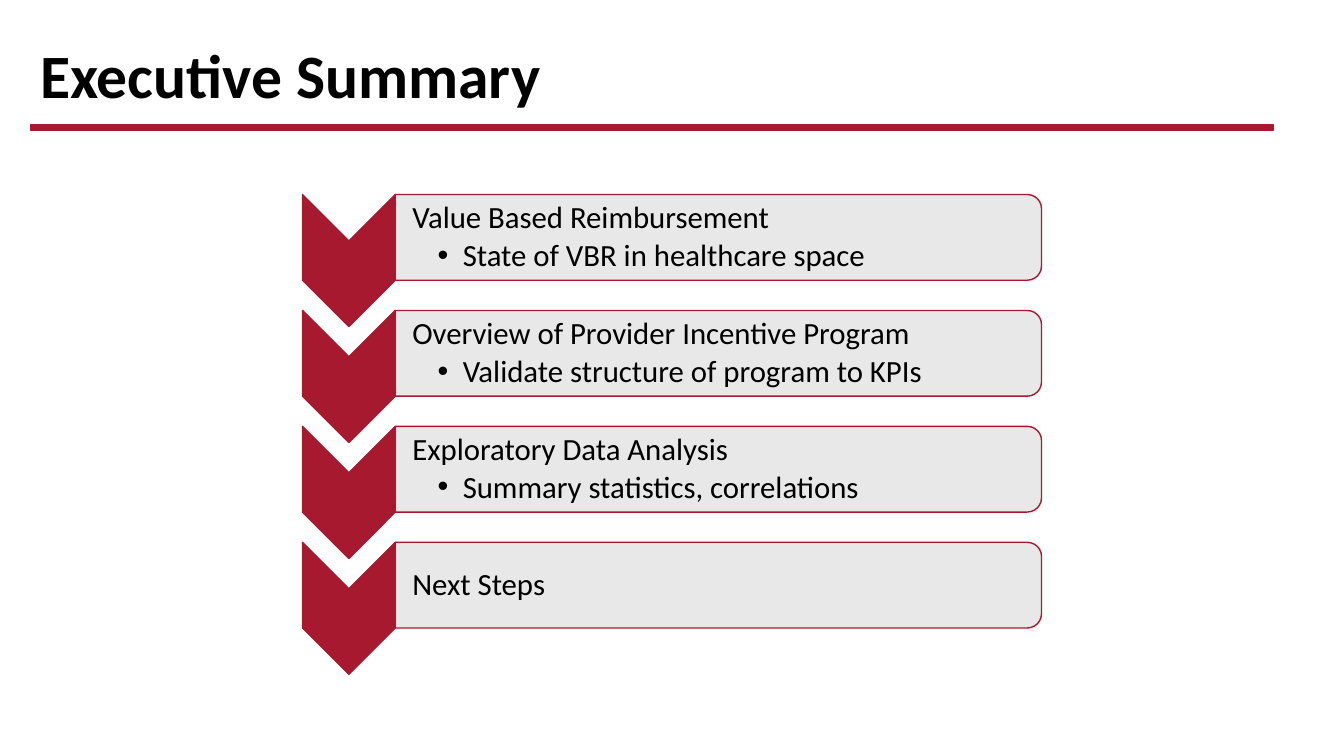
from lxml.etree import SubElement
from pptx import Presentation
from pptx.dml.color import RGBColor
from pptx.enum.shapes import MSO_SHAPE as SHAPE
from pptx.enum.text import MSO_ANCHOR as ANCHOR
from pptx.oxml.ns import qn
from pptx.util import Inches, Pt

RED, GREY, BLACK = "A6192E", "E7E6E6", "000000"
STEPS = [
    ("Value Based Reimbursement", "State of VBR in healthcare space"),
    ("Overview of Provider Incentive Program", "Validate structure of program to KPIs"),
    ("Exploratory Data Analysis", "Summary statistics, correlations"),
    ("Next Steps",),
]


def rgb(value):
    """Turn a hex string into a colour."""
    return RGBColor.from_string(value)


def add_shape(slide, kind, box, fill, turned=False, alpha=None):
    """Draw a red-outlined shape that fills the box, optionally turned by 90 degrees."""
    x, y, w, h = box
    if turned:
        x, y, w, h = x + (w - h) / 2, y + (h - w) / 2, h, w
    sp = slide.shapes.add_shape(kind, Inches(x), Inches(y), Inches(w), Inches(h))
    sp.rotation = 90 if turned else 0
    sp.shadow.inherit = False
    sp.fill.solid()
    sp.fill.fore_color.rgb = rgb(fill)
    sp.line.color.rgb = rgb(RED)
    sp.line.width = Pt(1)
    if alpha is not None:
        color = sp.fill._xPr.find(qn("a:solidFill"))[0]
        SubElement(color, qn("a:alpha"), val=str(alpha * 1000))
    return sp


def add_frame(slide, box, insets):
    """Add a wrapping, vertically centred text box and return its text frame."""
    tf = slide.shapes.add_textbox(*map(Inches, box)).text_frame
    tf.word_wrap = True
    tf.vertical_anchor = ANCHOR.MIDDLE
    tf.margin_left, tf.margin_top, tf.margin_right, tf.margin_bottom = map(Inches, insets)
    return tf


def add_text(p, text, size, bold=False, after=0, margin=0, hanging=0, bullet=None):
    """Write one formatted paragraph."""
    p.line_spacing = 0.9
    p.space_after = Pt(after)
    pPr = p._p.get_or_add_pPr()
    pPr.set("marL", str(Inches(margin)))
    pPr.set("indent", str(-Inches(hanging)))
    if bullet:
        SubElement(pPr, qn("a:buFont"), typeface="Arial")
        SubElement(pPr, qn("a:buChar"), char=bullet)
    r = p.add_run()
    r.text = text
    r.font.name, r.font.size, r.font.bold = "Calibri", Pt(size), bold
    r.font.color.rgb = rgb(BLACK)


def add_header(slide, box, title):
    """Place the title with a red rule along the bottom of the box."""
    x, y, w, h = box
    rule = 0.05
    tf = add_frame(slide, (x, y, w, h - rule), (0.1, 0.05, 0.1, 0.05))
    add_text(tf.paragraphs[0], title, 44, bold=True)
    add_shape(slide, SHAPE.RECTANGLE, (x, y + h - rule, w, rule), RED)


def add_step(slide, box, lines):
    """Place a downward chevron and the rounded bar with its text beside it."""
    x, y, w, h = box
    arrow_w, bar_h, pad = 0.92, 0.85, 0.04
    bar_x, bar_w = x + arrow_w, w - arrow_w
    add_shape(slide, SHAPE.CHEVRON, (x, y, arrow_w, h), RED, turned=True)
    add_shape(slide, SHAPE.ROUND_2_SAME_RECTANGLE, (bar_x, y, bar_w, bar_h),
              GREY, turned=True, alpha=90)
    tf = add_frame(slide, (bar_x, y + pad, bar_w - pad, bar_h - 2 * pad),
                   (0.17, 0.02, 0.02, 0.02))
    for level, line in enumerate(lines):
        p = tf.add_paragraph() if level else tf.paragraphs[0]
        add_text(p, line, 22, after=3.3, margin=0.25 * (level + 1), hanging=0.25,
                 bullet="•" if level else None)


def add_steps(slide, box, steps, pitch):
    """Stack the steps down the box at an equal pitch."""
    x, y, w, h = box
    step_h = h - pitch * (len(steps) - 1)
    for i, lines in enumerate(steps):
        add_step(slide, (x, y + i * pitch, w, step_h), lines)


def main():
    """Build and save the slide."""
    prs = Presentation()
    prs.slide_width, prs.slide_height = Inches(13.33), Inches(7.5)
    slide = prs.slides.add_slide(prs.slide_layouts[6])
    add_header(slide, (0.3, 0.32, 12.33, 0.97), "Executive Summary")
    add_steps(slide, (3, 1.93, 7.33, 4.76), STEPS, pitch=1.15)
    prs.save("out.pptx")


if __name__ == "__main__":
    main()
